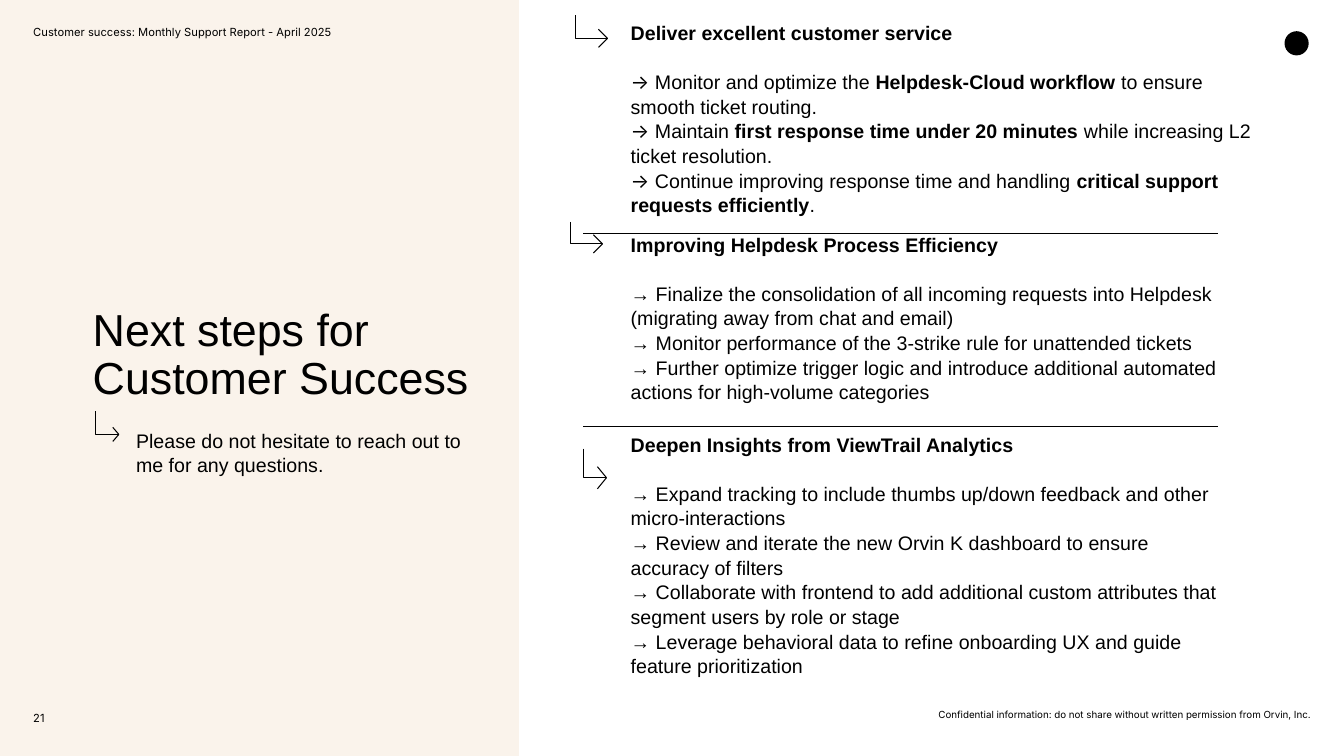
import pptx
import pptx.util
import pptx.dml.color
import pptx.enum.shapes
import pptx.enum.text
import lxml.etree

Inches = pptx.util.Inches
Pt = pptx.util.Pt
ALIGN = pptx.enum.text.PP_ALIGN
ANCHOR = pptx.enum.text.MSO_ANCHOR
SHAPES = pptx.enum.shapes.MSO_SHAPE
BLACK = pptx.dml.color.RGBColor(0x00, 0x00, 0x00)
CREAM = pptx.dml.color.RGBColor(0xFA, 0xF3, 0xEB)

prs = pptx.Presentation()
prs.slide_width, prs.slide_height = Inches(13.34), Inches(7.5)
s = prs.slides.add_slide(prs.slide_layouts[5])


def fill_text(sp, box, paragraphs, size, font="Arial", anchor=ANCHOR.TOP,
              align=ALIGN.LEFT, spacing=1.0):
    """Place a text shape and write its paragraphs, each a list of (text, bold, font)."""
    sp.left, sp.top, sp.width, sp.height = [Inches(v) for v in box]
    tf = sp.text_frame
    tf.word_wrap = True
    tf.auto_size = pptx.enum.text.MSO_AUTO_SIZE.NONE
    tf.vertical_anchor = anchor
    tf.margin_left = tf.margin_top = tf.margin_right = tf.margin_bottom = 0
    for i, runs in enumerate(paragraphs):
        p = tf.add_paragraph() if i else tf.paragraphs[0]
        p.alignment = align
        p.line_spacing = spacing
        for text, bold, run_font in runs:
            r = p.add_run()
            r.text = text
            r.font.size = Pt(size)
            r.font.name = run_font or font
            r.font.bold = bold
            r.font.color.rgb = BLACK
    return tf


def add_elbow_arrow(x, top, corner, tip, head_length, head_half):
    """Draw a line down to the corner height and right to an open arrowhead."""
    x, top, corner, tip, back, half = [
        Inches(v) for v in (x, top, corner, tip, tip - head_length, head_half)]
    builder = s.shapes.build_freeform(x, top)
    builder.add_line_segments([(x, corner), (tip, corner)], close=False)
    builder.move_to(back, corner - half)
    builder.add_line_segments([(tip, corner), (back, corner + half)], close=False)
    sp = builder.convert_to_shape()
    sp.shadow.inherit = False
    sp.fill.background()
    sp.line.color.rgb = BLACK
    sp.line.width = Pt(0.75)


# Left panel and plain mark in the corner
for kind, box, color in [(SHAPES.RECTANGLE, (0, 0, 5.15, 7.5), CREAM),
                         (SHAPES.OVAL, (12.75, 0.31, 0.24, 0.24), BLACK)]:
    sp = s.shapes.add_shape(kind, *[Inches(v) for v in box])
    sp.shadow.inherit = False
    sp.fill.solid()
    sp.fill.fore_color.rgb = color
    sp.line.fill.background()

# Title, moved in front of the panel
title = s.shapes.title
s.shapes._spTree.append(title._element)
fill_text(title, (0.92, 2.19, 3.77, 1.82),
          [[("Next steps for Customer Success", False, None)]],
          32, anchor=ANCHOR.BOTTOM, spacing=0.9)

# Small texts
small_texts = [
    ("Customer success: Monthly Support Report - April 2025",
     (0.33, 0.2, 4.82, 0.23), 8, "Inter", ANCHOR.MIDDLE, ALIGN.LEFT, 1.0),
    ("21", (0.33, 7.01, 0.33, 0.23), 8, "Inter", ANCHOR.MIDDLE, ALIGN.LEFT, 1.0),
    ("Confidential information: do not share without written permission from Orvin, Inc.",
     (7.57, 7.03, 5.44, 0.12), 7, "Inter", ANCHOR.MIDDLE, ALIGN.RIGHT, 1.0),
    ("Please do not hesitate to reach out to me for any questions.",
     (1.35, 4.24, 3.35, 0.71), 14, "Arial", ANCHOR.TOP, ALIGN.LEFT, 1.05),
]
for text, box, size, font, anchor, align, spacing in small_texts:
    fill_text(s.shapes.add_textbox(0, 0, 0, 0), box, [[(text, False, None)]],
              size, font, anchor, align, spacing)

# Sections: heading, box, anchor, arrow font, items whose odd parts are bold
sections = [
    ("Deliver excellent customer service", (6.26, 0.2, 6.18, 1.24), ANCHOR.TOP, "Inter", [
        ["Monitor and optimize the ", "Helpdesk-Cloud workflow",
         " to ensure smooth ticket routing."],
        ["Maintain ", "first response time under 20 minutes",
         " while increasing L2 ticket resolution."],
        ["Continue improving response time and handling ",
         "critical support requests efficiently", "."],
    ]),
    ("Improving Helpdesk Process Efficiency", (6.26, 2.3, 5.88, 1.41), ANCHOR.TOP, "Arial", [
        ["Finalize the consolidation of all incoming requests into Helpdesk "
         "(migrating away from chat and email)"],
        ["Monitor performance of the 3-strike rule for unattended tickets"],
        ["Further optimize trigger logic and introduce additional automated "
         "actions for high-volume categories"],
    ]),
    ("Deepen Insights from ViewTrail Analytics", (6.26, 4.69, 5.88, 1.63), ANCHOR.MIDDLE, "Arial", [
        ["Expand tracking to include thumbs up/down feedback and other micro-interactions"],
        ["Review and iterate the new Orvin K dashboard to ensure accuracy of filters"],
        ["Collaborate with frontend to add additional custom attributes that "
         "segment users by role or stage"],
        ["Leverage behavioral data to refine onboarding UX and guide feature prioritization"],
    ]),
]
for heading, box, anchor, arrow_font, items in sections:
    paragraphs = [[(heading, True, None)]]
    for parts in items:
        paragraphs.append([("→ ", False, arrow_font)] + [
            (part, i % 2 == 1, None) for i, part in enumerate(parts)])
    tf = fill_text(s.shapes.add_textbox(0, 0, 0, 0), box, paragraphs, 14,
                   anchor=anchor, spacing=1.05)
    tf.paragraphs[0].space_after = Pt(17)

# Dividers between sections
for y in (2.32, 4.23):
    line = s.shapes.add_connector(pptx.enum.shapes.MSO_CONNECTOR.STRAIGHT,
                                  Inches(5.79), Inches(y), Inches(12.09), Inches(y))
    line.line.color.rgb = BLACK
    line.line.width = Pt(0.75)
    lxml.etree.SubElement(line._element.spPr, pptx.oxml.ns.qn("a:effectLst"))

# Elbow arrows
for arrow in [(0.95, 4.08, 4.31, 1.18, 0.06, 0.07),
              (5.71, 0.15, 0.38, 6.03, 0.09, 0.09),
              (5.66, 2.2, 2.42, 5.98, 0.09, 0.09),
              (5.79, 4.45, 4.74, 6.02, 0.09, 0.11)]:
    add_elbow_arrow(*arrow)

prs.save("out.pptx")
